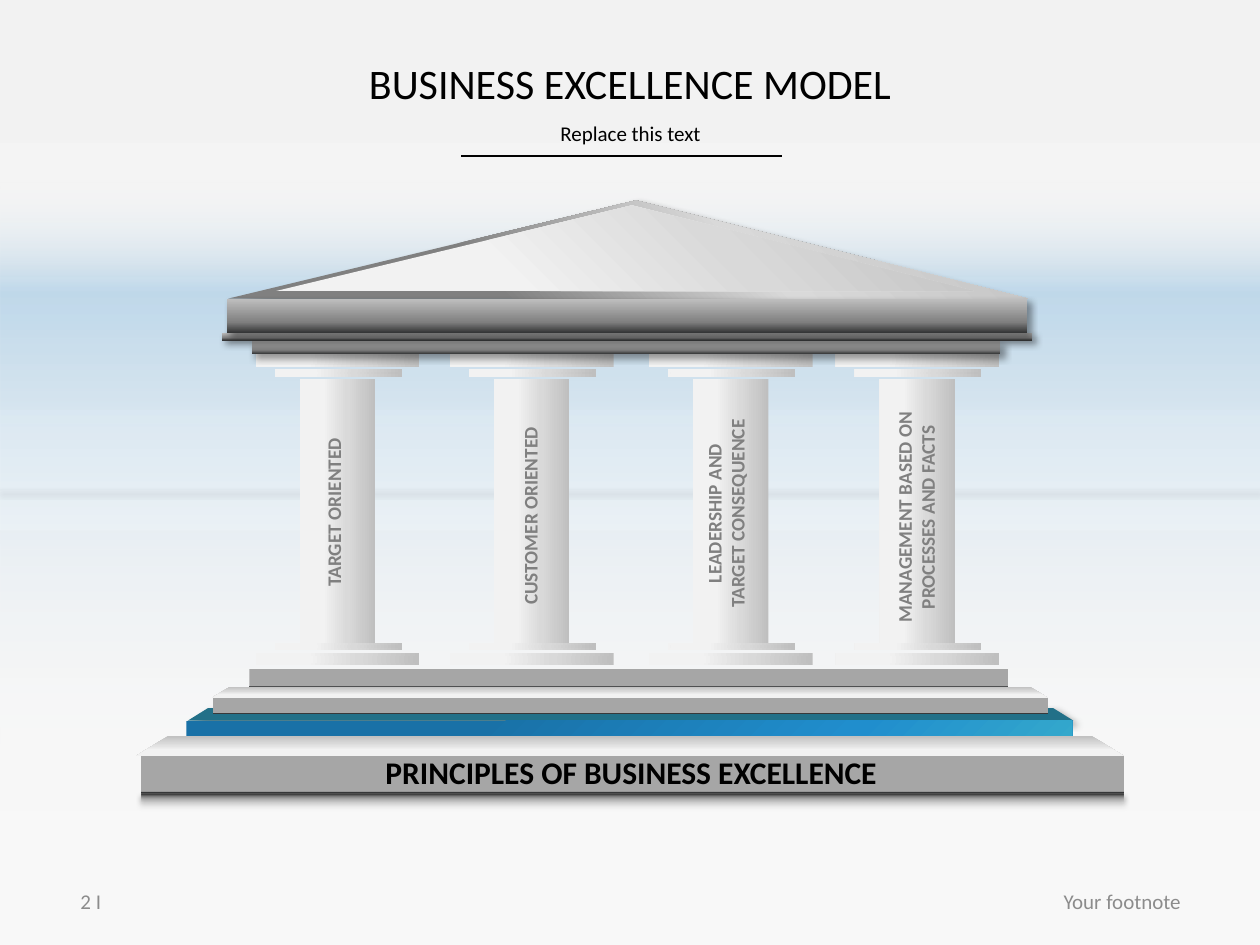
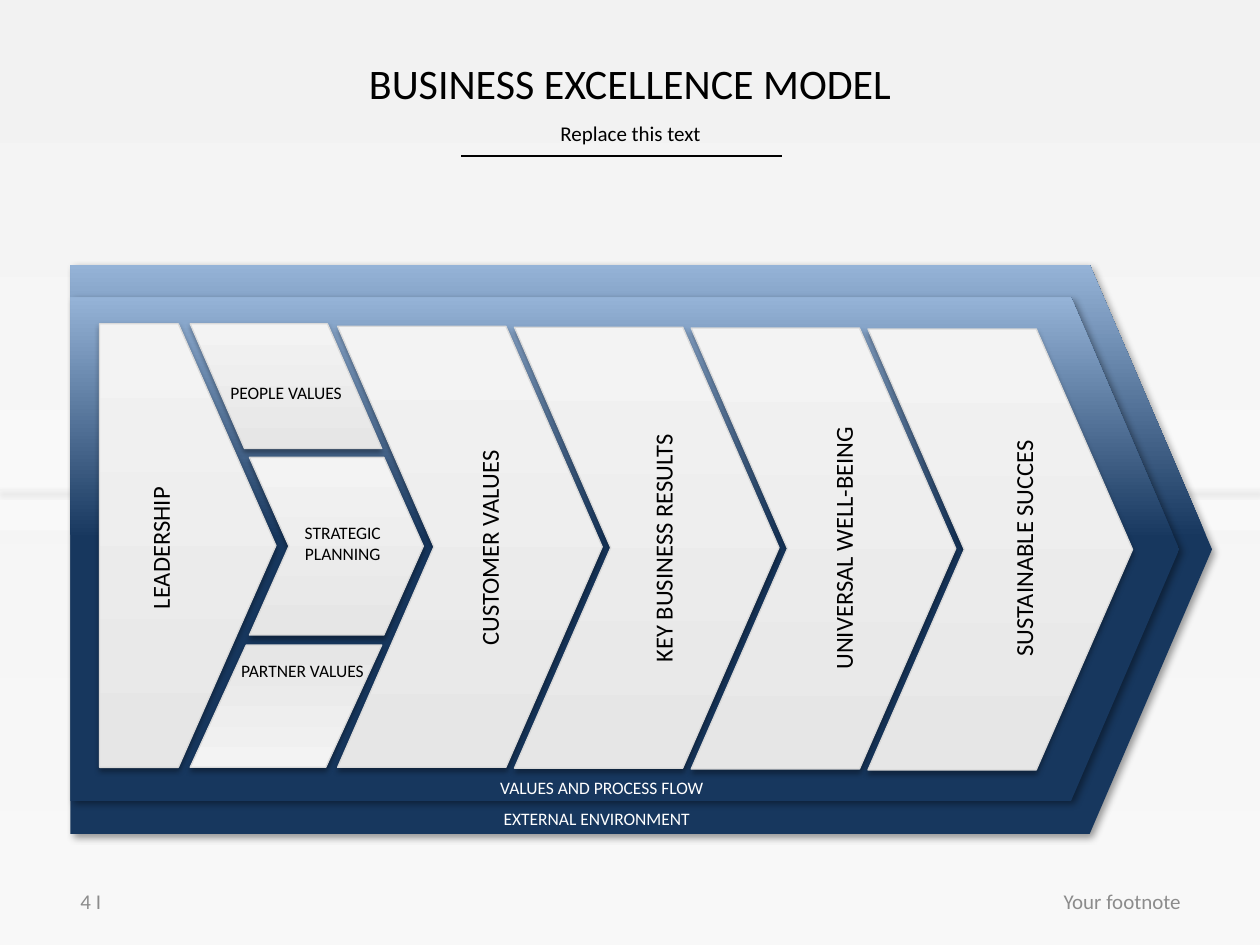
from dataclasses import dataclass

from lxml.etree import SubElement as Sub
from pptx import Presentation
from pptx.dml.color import RGBColor as Rgb
from pptx.enum.shapes import MSO_CONNECTOR as Link, MSO_SHAPE as Kind
from pptx.enum.text import MSO_ANCHOR as Anchor, PP_ALIGN as Align
from pptx.oxml.ns import qn
from pptx.util import Inches, Pt


@dataclass(frozen=True)
class Grad:
    stops: tuple          # (position, colour[, opacity])
    angle: int = 90
    focus: tuple = ()     # left, top, right, bottom of a round gradient


@dataclass(frozen=True)
class Theme:
    font: str = "Calibri"
    # Type sizes
    head: int = 24
    base: int = 18
    stage: int = 14
    body: int = 12
    pillar: int = 11
    small: int = 10
    # Colours
    ink: str = "000000"
    white: str = "FFFFFF"
    pale: str = "F2F2F2"
    rim: str = "D9D9D9"
    mute: str = "8C8C8C"
    grey: str = "808080"
    teal: str = "227088"
    # Shadows: opacity, blur, distance, direction
    deep: tuple = (40, 4, 3, 45)
    soft: tuple = (35, 3.1, 1.8, 90)
    faint: tuple = (16, 3.1, 1.6, 90)


T = Theme()
MARBLE = ((0, "BFBFBF"), (37, "D9D9D9"), (69, "F2F2F2"))
ROUND = Grad(MARBLE, 180)
LEDGE = Grad(MARBLE)
GABLE = Grad(MARBLE, focus=(100, 0, 0, 100))
EAVES = Grad(MARBLE[:2] + ((69, T.grey),), focus=(100, 0, 0, 100))
BEAM = Grad(((0, "BFBFBF"), (69, T.grey), (100, "353637")))
STEP = Grad(((97, "A6A6A6"), (100, "353637")))
SHADE = Grad(((49, "E6E6E6", 0), (100, "171717")), 270)
WATER = Grad(((0, "34A8CC"), (25, "208ECD"), (67, "1971A7")),
             focus=(100, 100, 0, 0))
PAGE = Grad(((1, T.pale), (100, T.white)))
SKY = Grad(((0, T.white, 0), (19, "0070C0", 22), (100, T.white, 0)))
NAVY = Grad(((52, "17375E"), (100, "95B3D7")), 270)
PANEL = Grad(((0, "E6E6E6"), (100, "F3F3F3")), 270)


def put(obj, **vals):
    for key, val in vals.items():
        setattr(obj, key, val)


def tint(node, color, alpha=100):
    clr = Sub(node, qn("a:srgbClr"), val=color)
    if alpha < 100:
        Sub(clr, qn("a:alpha"), val=str(alpha * 1000))


def paint(props, fill):
    """Fill with a gradient, or with a (colour, opacity) pair."""
    if not isinstance(fill, Grad):
        tint(Sub(props, qn("a:solidFill")), *fill)
        return
    node = Sub(props, qn("a:gradFill"), rotWithShape="1")
    stops = Sub(node, qn("a:gsLst"))
    for pos, *color in fill.stops:
        tint(Sub(stops, qn("a:gs"), pos=str(pos * 1000)), *color)
    if fill.focus:
        way = Sub(node, qn("a:path"), path="circle")
        sides = {k: str(v * 1000) for k, v in zip("ltrb", fill.focus)}
        Sub(way, qn("a:fillToRect"), sides)
    else:
        Sub(node, qn("a:lin"), ang=str(fill.angle * 60000), scaled="0")


def shade(props, cast=None):
    """Replace the theme shadow by the given one, or by none."""
    node = Sub(props, qn("a:effectLst"))
    if cast:
        alpha, blur, dist, way = cast
        drop = Sub(node, qn("a:outerShdw"), blurRad=str(Pt(blur)),
                   dist=str(Pt(dist)), dir=str(way * 60000),
                   algn="tl", rotWithShape="0")
        tint(drop, T.ink, alpha)


def block(slide, box, fill, kind=Kind.RECTANGLE, adj=None, rim=None,
          cast=None, flip=""):
    shape = slide.shapes.add_shape(kind, *map(Inches, box))
    props = shape._element.spPr
    if adj is not None:
        shape.adjustments[0] = adj
    for axis in flip:
        props.find(qn("a:xfrm")).set("flip" + axis, "1")
    paint(props, fill)
    if rim:
        shape.line.color.rgb = Rgb.from_string(rim)
        shape.line.width = Pt(0.75)
    else:
        shape.line.fill.background()
    shade(props, cast)


def rule(slide, left, right, y, color, cast=None):
    line = slide.shapes.add_connector(
        Link.STRAIGHT, *map(Inches, (left, y, right, y)))
    line.line.color.rgb = Rgb.from_string(color)
    line.line.width = Pt(1)
    shade(line._element.spPr, cast)


def write(frame, text, size, color=T.ink, bold=False, anchor=Anchor.TOP,
          **para):
    put(frame, word_wrap=True, vertical_anchor=anchor, text=text)
    for par in frame.paragraphs:
        put(par, **{"alignment": Align.CENTER, **para})
        for run in par.runs:
            put(run.font, name=T.font, size=Pt(size), bold=bold)
            run.font.color.rgb = Rgb.from_string(color)


def label(slide, box, text, size, turn=0, **style):
    area = slide.shapes.add_textbox(*map(Inches, box))
    area.rotation = turn
    write(area.text_frame, text, size, **style)


def start(deck, number, sky=False):
    """Add a slide with the shared backdrop, title and footer."""
    slide = deck.slides.add_slide(deck.slide_layouts[5])
    # Backdrop
    block(slide, (0, 0, 10, 7.5), PAGE)
    block(slide, (0, 4.21, 10, 3.29), (T.pale, 49))
    rule(slide, 0, 10, 3.89, T.pale, T.faint)
    rule(slide, 3.66, 6.21, 1.24, T.ink)
    if sky:
        block(slide, (0, 1.44, 10, 4.63), SKY)
    # Title above the backdrop
    title = slide.shapes.title
    slide.shapes._spTree.append(title._element)
    put(title, left=Inches(0.69), top=Inches(0.48),
        width=Inches(8.62), height=Inches(0.43))
    write(title.text_frame, "BUSINESS EXCELLENCE MODEL", T.head,
          anchor=Anchor.MIDDLE, line_spacing=0.8)
    label(slide, (0.69, 0.95, 8.63, 0.27), "Replace this text", T.body,
          line_spacing=0.8, space_before=Pt(10))
    # Footer
    for left, text, side in ((0.54, f"{number} I", Align.LEFT),
                             (7.22, "Your footnote", Align.RIGHT)):
        label(slide, (left, 6.95, 2.25, 0.4), text, T.body, color=T.mute,
              anchor=Anchor.MIDDLE, alignment=side)
    return slide


def column(slide, x):
    block(slide, (x, 3.01, 0.6, 2.09), ROUND)
    # Slabs of the capital and the foot: inset, height offset, width, height
    slabs = ((0.2, 0, 1.01, 0.06), (0.18, 0.02, 0.96, 0.02))
    plates = ((0.35, 0, 1.3, 0.1), (0.32, 0.03, 1.25, 0.05))
    for tops, parts in (((2.93, 5.1), slabs), ((2.81, 5.18), plates)):
        for top in tops:
            for inset, drop, wide, high in parts:
                block(slide, (x - inset, top + drop, wide, high), ROUND)


def temple(deck):
    slide = start(deck, 2, sky=True)
    for x in (2.38, 3.92, 5.5, 6.98):
        column(slide, x)
    # Steps
    slope = dict(kind=Kind.TRAPEZOID, adj=1.61)
    block(slide, (1.49, 5.62, 7.03, 0.1), (T.teal,), cast=T.deep, **slope)
    block(slide, (1.68, 5.45, 6.64, 0.09), LEDGE, **slope)
    block(slide, (1.48, 5.72, 7.03, 0.16), WATER)
    block(slide, (1.12, 5.99, 7.8, 0.3), STEP)
    block(slide, (1.98, 5.31, 6.02, 0.14), STEP)
    block(slide, (1.12, 6.3, 7.8, 0.16), SHADE, cast=T.soft)
    block(slide, (1.69, 5.54, 6.63, 0.12), STEP)
    block(slide, (1.08, 5.84, 7.84, 0.16), LEDGE, **slope)
    # Roof
    peak = dict(kind=Kind.ISOSCELES_TRIANGLE, adj=0.51)
    block(slide, (2, 2.71, 5.94, 0.1), BEAM, cast=T.deep)
    block(slide, (1.76, 2.64, 6.43, 0.06), BEAM, cast=T.deep)
    block(slide, (1.81, 1.59, 6.35, 0.78), EAVES, cast=T.deep, **peak)
    block(slide, (1.8, 2.37, 6.35, 0.27), BEAM, cast=T.deep)
    block(slide, (2.19, 1.63, 5.54, 0.68), GABLE, **peak)
    # Labels
    for left, top, high, text in (
            (1.62, 3.92, 0.29, "TARGET ORIENTED"),
            (3.18, 3.95, 0.29, "CUSTOMER ORIENTED"),
            (4.74, 3.83, 0.49, "LEADERSHIP AND\nTARGET CONSEQUENCE"),
            (6.25, 3.86, 0.49, "MANAGEMENT BASED ON\nPROCESSES AND FACTS")):
        label(slide, (left, top, 2.06, high), text, T.pillar, turn=270,
              color=T.grey, bold=True)
    label(slide, (1.13, 5.93, 7.76, 0.4), "PRINCIPLES OF BUSINESS EXCELLENCE",
          T.base, bold=True)


def flow(deck):
    slide = start(deck, 4)
    # Outer arrows
    for box in ((0.56, 2.1, 9.06, 4.52), (0.56, 2.36, 8.8, 4)):
        block(slide, box, NAVY, Kind.PENTAGON, 0.215, cast=T.deep)
    # Stages, from right to left
    look = dict(rim=T.rim, cast=T.soft)
    for i in reversed(range(4)):
        block(slide, (2.68 + 1.403 * i, 2.59 + 0.007 * i, 2.1, 3.5), PANEL,
              Kind.CHEVRON, 0.364, **look)
    block(slide, (1.98, 3.63, 1.38, 1.41), PANEL, Kind.CHEVRON, 0.227, **look)
    block(slide, (0.79, 2.57, 1.4, 3.52), PANEL, Kind.PENTAGON, 0.553, **look)
    for top, high, adj, flip in ((2.57, 0.99, 0.435, "H"),
                                 (5.12, 0.97, 0.458, "HV")):
        block(slide, (1.51, top, 1.52, high), PANEL, Kind.PARALLELOGRAM, adj,
              flip=flip, **look)
    # Labels
    for left, text in ((0.12, "LEADERSHIP"), (2.73, "CUSTOMER VALUES"),
                       (4.11, "KEY BUSINESS RESULTS"),
                       (5.54, "UNIVERSAL WELL-BEING"),
                       (6.97, "SUSTAINABLE SUCCES")):
        label(slide, (left, 4.18, 2.31, 0.34), text, T.stage, turn=270)
    for left, top, high, text in ((1.66, 2.98, 0.27, "PEOPLE VALUES"),
                                  (2.11, 4.09, 0.44, "STRATEGIC PLANNING"),
                                  (1.79, 5.19, 0.27, "PARTNER VALUES")):
        label(slide, (left, top, 1.22, high), text, T.small)
    for left, top, text in ((3.62, 6.12, "VALUES AND PROCESS FLOW"),
                            (3.58, 6.36, "EXTERNAL ENVIRONMENT")):
        label(slide, (left, top, 2.31, 0.25), text, T.small, color=T.white)


def main():
    deck = Presentation()
    put(deck, slide_width=Inches(10), slide_height=Inches(7.5))
    temple(deck)
    flow(deck)
    deck.save("out.pptx")


if __name__ == "__main__":
    main()
